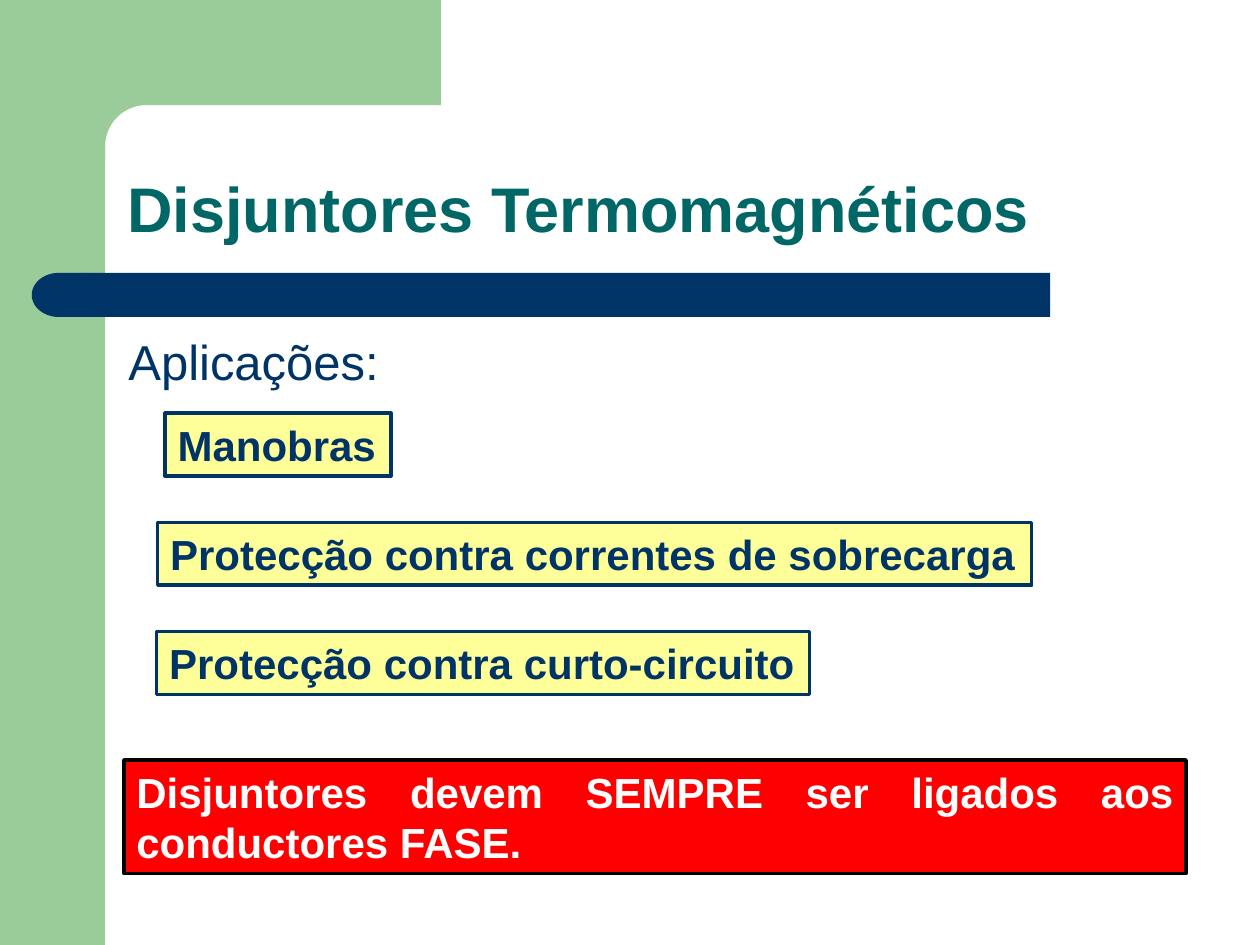
from dataclasses import dataclass
from math import cos, pi, sin

from pptx import Presentation
from pptx.dml.color import RGBColor
from pptx.enum.shapes import MSO_SHAPE
from pptx.enum.text import MSO_ANCHOR, MSO_AUTO_SIZE, PP_ALIGN
from pptx.util import Cm, Pt

GREEN, NAVY, TEAL = "99CC99", "003366", "006666"
YELLOW, RED, BLACK, WHITE = "FFFF99", "FF0000", "000000", "FFFFFF"


@dataclass
class Area:
    """Place and size in centimetres."""
    left: float
    top: float
    width: float
    height: float

    def emu(self) -> tuple:
        return Cm(self.left), Cm(self.top), Cm(self.width), Cm(self.height)


@dataclass
class Label:
    text: str
    size: int
    color: str
    bold: bool = True
    align: PP_ALIGN = PP_ALIGN.LEFT
    anchor: MSO_ANCHOR = MSO_ANCHOR.TOP
    wrap: bool = True
    lead: float = 1.0
    before: int = 0


def rgb(code: str) -> RGBColor:
    return RGBColor.from_string(code)


def paint(shape, fill: str, line: str = "") -> None:
    shape.shadow.inherit = False
    shape.fill.solid()
    shape.fill.fore_color.rgb = rgb(fill)
    if line:
        shape.line.color.rgb = rgb(line)
        shape.line.width = Pt(2)
    else:
        shape.line.fill.background()


def write(shape, label: Label) -> None:
    frame = shape.text_frame
    frame.word_wrap = label.wrap
    frame.vertical_anchor = label.anchor
    para = frame.paragraphs[0]
    para.alignment = label.align
    para.line_spacing = label.lead
    para.space_before = Pt(label.before)
    run = para.add_run()
    run.text = label.text
    font = run.font
    font.name, font.size, font.bold = "Arial", Pt(label.size), label.bold
    font.color.rgb = rgb(label.color)


def block(slide, kind: MSO_SHAPE, area: Area, fill: str, line: str = ""):
    shape = slide.shapes.add_shape(kind, *area.emu())
    paint(shape, fill, line)
    return shape


def box(slide, area: Area, fill: str, line: str, label: Label) -> None:
    shape = block(slide, MSO_SHAPE.RECTANGLE, area, fill, line)
    write(shape, label)
    shape.text_frame.auto_size = MSO_AUTO_SIZE.SHAPE_TO_FIT_TEXT


def note(slide, area: Area, label: Label) -> None:
    write(slide.shapes.add_textbox(*area.emu()), label)


def corner(slide, edge: float, bend: float) -> None:
    """Green band at the top, rounded where it meets the side panel."""
    mid, steps = edge + bend, 16
    turns = [pi / 2 * i / steps for i in range(steps + 1)]
    curve = [(mid - bend * sin(a), mid - bend * cos(a)) for a in turns]
    points = [(8.89, 0), (8.89, edge), *curve,
              (edge, 3.25), (1.27, 3.25), (1.27, 0)]
    start, *rest = [(Cm(x), Cm(y)) for x, y in points]
    path = slide.shapes.build_freeform(*start, scale=1.0)
    path.add_line_segments(rest, close=True)
    paint(path.convert_to_shape(), GREEN)


def main() -> None:
    deck = Presentation()
    deck.slide_width, deck.slide_height = Cm(25.4), Cm(19.05)
    slide = deck.slides.add_slide(deck.slide_layouts[6])

    # Green frame
    edge = 2.12
    block(slide, MSO_SHAPE.RECTANGLE, Area(0, 0, edge, 19.05), GREEN)
    corner(slide, edge, 0.83)

    # Navy bar with a round left end
    block(slide, MSO_SHAPE.RECTANGLE, Area(1.7, 5.5, 19.47, 0.89), NAVY)
    cap = block(slide, MSO_SHAPE.FLOWCHART_DELAY,
                Area(0.64, 5.5, 1.09, 0.89), NAVY)
    cap.rotation = 180

    # Title and lead-in
    note(slide, Area(2.32, 2.31, 21.62, 2.77),
         Label("Disjuntores Termomagnéticos", 36, TEAL,
               anchor=MSO_ANCHOR.BOTTOM, lead=0.9))
    note(slide, Area(2.34, 6.55, 21.36, 1.55),
         Label("Aplicações:", 28, NAVY, bold=False, before=7))

    # Uses, evenly spaced; each box is a little wider than its one line
    uses = [
        ("Manobras", 3.33, 4.55),
        ("Protecção contra correntes de sobrecarga", 3.18, 17.62),
        ("Protecção contra curto-circuito", 3.16, 13.16),
    ]
    for i, (text, left, width) in enumerate(uses):
        box(slide, Area(left, 8.33 + 2.2 * i, width, 1.27), YELLOW, NAVY,
            Label(text, 24, NAVY, wrap=False))

    # Warning
    box(slide, Area(2.5, 15.32, 21.41, 2.29), RED, BLACK,
        Label("Disjuntores devem SEMPRE ser ligados aos conductores FASE.",
              24, WHITE, align=PP_ALIGN.JUSTIFY))

    deck.save("out.pptx")


if __name__ == "__main__":
    main()
